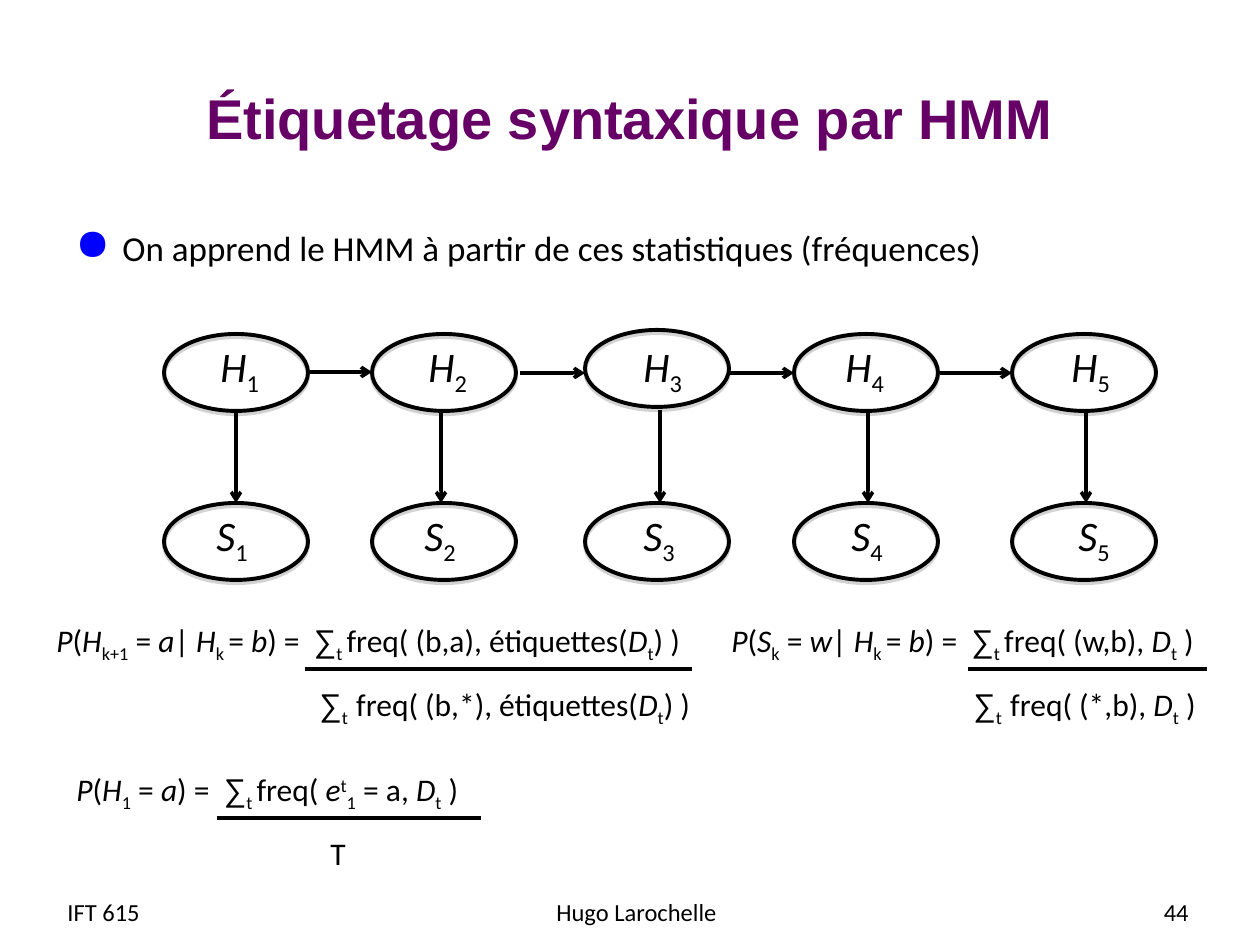
from lxml import etree
from pptx import Presentation
from pptx.dml.color import RGBColor
from pptx.enum.shapes import MSO_CONNECTOR, MSO_SHAPE
from pptx.enum.text import MSO_ANCHOR, PP_ALIGN
from pptx.oxml import parse_xml
from pptx.oxml.ns import nsdecls, qn
from pptx.util import Pt

EMU_PER_PX = 914400 / 126
LEFT, CENTER, RIGHT = PP_ALIGN.LEFT, PP_ALIGN.CENTER, PP_ALIGN.RIGHT
MIDDLE, TOP = MSO_ANCHOR.MIDDLE, MSO_ANCHOR.TOP
ELLIPSE, STRAIGHT = MSO_SHAPE.OVAL, MSO_CONNECTOR.STRAIGHT

BLACK, PURPLE, BLUE, GRAY = "000000", "660066", "0000FF", "808080"
TITLE = {"name": "Arial", "size": Pt(32), "bold": True}
BODY = {"name": "Calibri", "size": Pt(20)}
NODE = {"name": "Calibri", "size": Pt(24)}
FORMULA = {"name": "Calibri", "size": Pt(18)}
FOOTER = {"name": "Calibri", "size": Pt(14)}
RUN_STYLES = {"n": {}, "i": {"italic": True}, "s": {"name": "Arial"}, "_": {}, "^": {}}
BASELINES = {"_": "-25000", "^": "30000"}

NODE_W, NODE_H, STATE_TOP, WORD_TOP = 144, 77, 334, 503
STATE_TOPS = [STATE_TOP, STATE_TOP, 330, STATE_TOP, STATE_TOP]
NODE_LEFTS = [164, 372, 585, 794, 1012]
STATE_LABEL_LEFTS = [208, 416, 631, 833, 1059]
WORD_LABEL_LEFTS = [204, 412, 631, 839, 1066]
EMISSION_XS = [236, 441, 660, 868, 1086]
TRANSITION_STARTS = [(308, 372), (520, 373), (730, 373), (940, 373)]

FORMULAS = [
    ((44, 615, 704, 154), 263,
     "iP`n(`iH`_k+1`n = `ia`n| `iH`_k `n= `ib`n) =  `s∑`_t `nfreq( (b,a), étiquettes(`iD`_t`n) )",
     "s∑`_t  `nfreq( (b,*), étiquettes(`iD`_t`n) )", (305, 692, 669)),
    ((719, 615, 525, 154), 242,
     "iP`n(`iS`_k`n = `iw`n| `iH`_k `n= `ib`n) =  `s∑`_t `nfreq( (w,b), `iD`_t`n )",
     "s∑`_t  `nfreq( (*,b), `iD`_t`n )", (968, 1207, 669)),
    ((64, 764, 525, 111), 254,
     "iP`n(`iH`_1`n = `ia`n) =  `s∑`_t `nfreq( `ie`^t`_1`n = a, `iD`_t`n )",
     "nT", (217, 481, 818)),
]


def px(value):
    return round(value * EMU_PER_PX)


def color(hex_value):
    return RGBColor.from_string(hex_value)


def write(paragraph, markup, font, hex_value=BLACK):
    for piece in markup.split("`"):
        style, text = piece[0], piece[1:]
        run = paragraph.add_run()
        run.text = text
        for name, value in {**font, **RUN_STYLES[style]}.items():
            setattr(run.font, name, value)
        run.font.color.rgb = color(hex_value)
        if style in BASELINES:
            run._r.get_or_add_rPr().set("baseline", BASELINES[style])


def add_text(slide, box, markup, font, align=LEFT, anchor=TOP):
    frame = slide.shapes.add_textbox(*map(px, box)).text_frame
    frame.word_wrap = True
    frame.vertical_anchor = anchor
    frame.paragraphs[0].alignment = align
    write(frame.paragraphs[0], markup, font)
    return frame


def set_title(slide, text):
    title = slide.shapes.title
    bounds = dict(zip(("left", "top", "width", "height"), map(px, (63, 38, 1134, 158))))
    for name, value in bounds.items():
        setattr(title, name, value)
    title.text_frame.vertical_anchor = MIDDLE
    paragraph = title.text_frame.paragraphs[0]
    paragraph.alignment = CENTER
    write(paragraph, "n" + text, TITLE, PURPLE)


def add_bullet(slide, box, text):
    paragraph = add_text(slide, box, "n" + text, BODY).paragraphs[0]
    properties = paragraph._p.get_or_add_pPr()
    properties.set("marL", str(px(47)))
    properties.set("indent", str(-px(47)))
    bullet_color = etree.SubElement(properties, qn("a:buClr"))
    etree.SubElement(bullet_color, qn("a:srgbClr"), val=BLUE)
    etree.SubElement(properties, qn("a:buSzPct"), val="125000")
    etree.SubElement(properties, qn("a:buChar"), char="●")


def add_line(slide, start, end, arrow=False):
    line = slide.shapes.add_connector(STRAIGHT, *map(px, (*start, *end)))
    line.line.color.rgb = color(BLACK)
    line.line.width = Pt(2)
    if arrow:
        etree.SubElement(line.line._get_or_add_ln(), qn("a:tailEnd"), type="arrow")
    etree.SubElement(line._element.spPr, qn("a:effectLst"))


def add_node(slide, left, top, label_left, label_top, letter, number):
    node = slide.shapes.add_shape(ELLIPSE, *map(px, (left, top, NODE_W, NODE_H)))
    node.fill.background()
    node.line.color.rgb = color(BLACK)
    node.line.width = Pt(2.25)
    node._element.spPr.append(parse_xml(
        f'<a:effectLst {nsdecls("a")}><a:outerShdw blurRad="0" dist="{Pt(1.8)}" '
        f'dir="5400000" rotWithShape="0"><a:srgbClr val="{GRAY}"><a:alpha val="35000"/>'
        '</a:srgbClr></a:outerShdw></a:effectLst>'))
    add_text(slide, (label_left, label_top, 70, 71), f"i{letter}`_{number}", NODE)


def add_chain(slide):
    columns = zip(NODE_LEFTS, STATE_TOPS, STATE_LABEL_LEFTS, WORD_LABEL_LEFTS, EMISSION_XS)
    for number, (left, top, state_left, word_left, x) in enumerate(columns, 1):
        add_node(slide, left, top, state_left, STATE_TOP, "H", number)
        add_node(slide, left, WORD_TOP, word_left, WORD_TOP, "S", number)
        add_line(slide, (x, 410), (x, WORD_TOP), arrow=True)
    for (start, y), end in zip(TRANSITION_STARTS, NODE_LEFTS[1:]):
        add_line(slide, (start, y), (end, y), arrow=True)


def add_formula(slide, box, indent, numerator, denominator, bar):
    frame = add_text(slide, box, numerator, FORMULA)
    lower = frame.add_paragraph()
    lower._p.get_or_add_pPr().set("marL", str(px(indent)))
    lower.space_before = Pt(12)
    write(lower, denominator, FORMULA)
    start, end, y = bar
    add_line(slide, (start, y), (end, y))


def main():
    deck = Presentation()
    deck.slide_width, deck.slide_height = px(1260), px(945)
    slide = deck.slides.add_slide(deck.slide_layouts[5])
    set_title(slide, "Étiquetage syntaxique par HMM")
    add_bullet(slide, (63, 220, 1182, 60),
               "On apprend le HMM à partir de ces statistiques (fréquences)")
    add_chain(slide)
    for formula in FORMULAS:
        add_formula(slide, *formula)
    for left, width, text, align in [(55, 243, "IFT 615", LEFT),
                                     (437, 399, "Hugo Larochelle", CENTER),
                                     (907, 294, "44", RIGHT)]:
        add_text(slide, (left, 887, width, 50), "n" + text, FOOTER, align, MIDDLE)
    deck.save("out.pptx")


if __name__ == "__main__":
    main()
